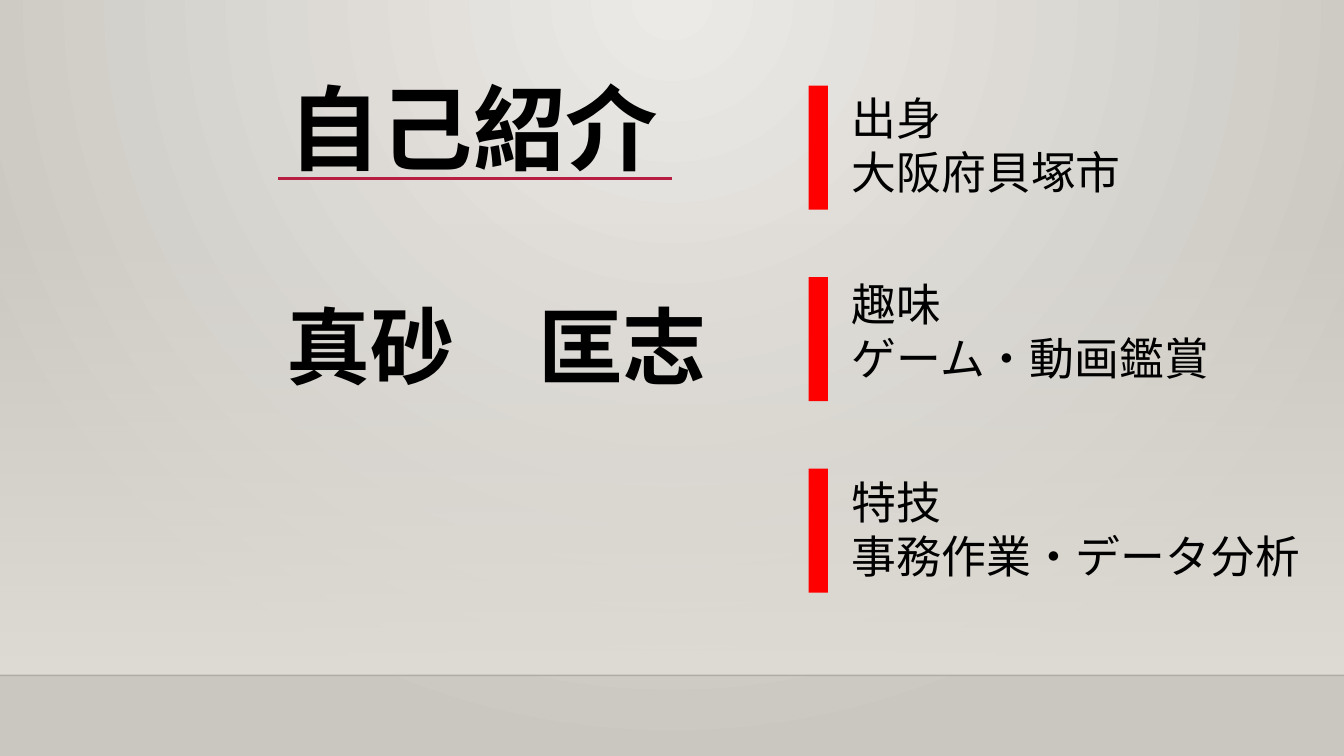
from dataclasses import dataclass

from lxml import etree
from pptx import Presentation
from pptx.dml.color import RGBColor
from pptx.enum.shapes import MSO_CONNECTOR, MSO_SHAPE
from pptx.enum.text import MSO_ANCHOR, MSO_AUTO_SIZE, PP_ALIGN
from pptx.oxml.ns import qn
from pptx.util import Inches, Pt

STRAIGHT = MSO_CONNECTOR.STRAIGHT
RECTANGLE = MSO_SHAPE.RECTANGLE
TOP = MSO_ANCHOR.TOP
GROW = MSO_AUTO_SIZE.SHAPE_TO_FIT_TEXT
LEFT = PP_ALIGN.LEFT
TITLE_ONLY = 5

SLIDE_WIDTH, SLIDE_HEIGHT = 13.33, 7.5
FLOOR_TOP = 6.7


@dataclass(frozen=True)
class Theme:
    font: str = "Cabin"
    text: str = "000000"
    bar: str = "FF0000"
    underline: str = "B71E42"
    floor_line: str = "000001"
    glow: str = "ECEAE7"
    edge: str = "CAC7C1"
    wall: str = "DFDBD5"
    title_size: int = 66
    name_size: int = 60
    body_size: int = 32


def set_alpha(color_parent, percent):
    """Give the colour inside an element an opacity."""
    color = next(color_parent.iter(qn("a:srgbClr")))
    etree.SubElement(color, qn("a:alpha")).set("val", str(percent * 1000))


class ProfileSlide:
    def __init__(self, deck, theme):
        self.theme = theme
        self.slide = deck.slides.add_slide(deck.slide_layouts[TITLE_ONLY])
        self.shapes = self.slide.shapes

    def gradient(self, fill, start, end):
        fill.gradient()
        for stop, color in zip(fill.gradient_stops, (start, end)):
            stop.color.rgb = RGBColor.from_string(color)

    def background(self):
        self.gradient(self.slide.background.fill, self.theme.glow, self.theme.edge)
        grad = next(self.slide.element.iter(qn("a:gradFill")))
        grad.remove(grad.find(qn("a:lin")))
        circle = etree.SubElement(grad, qn("a:path"))
        circle.set("path", "circle")
        focus = etree.SubElement(circle, qn("a:fillToRect"))
        for side, percent in zip("ltrb", (43, 0, 43, 100)):
            focus.set(side, str(percent * 1000))

    def rectangle(self, left, top, width, height):
        box = self.shapes.add_shape(
            RECTANGLE, Inches(left), Inches(top), Inches(width), Inches(height))
        box.shadow.inherit = False
        box.line.fill.background()
        return box

    def wall(self, top):
        wall = self.rectangle(0, top, SLIDE_WIDTH, FLOOR_TOP - top)
        self.gradient(wall.fill, self.theme.wall, self.theme.wall)
        wall.fill.gradient_angle = 270
        set_alpha(next(wall.element.iter(qn("a:gs"))), 0)

    def bar(self, left, top):
        bar = self.rectangle(left, top, 0.19, 1.23)
        bar.fill.solid()
        bar.fill.fore_color.rgb = RGBColor.from_string(self.theme.bar)

    def rule(self, left, right, y, color, width, opacity=100):
        rule = self.shapes.add_connector(
            STRAIGHT, Inches(left), Inches(y), Inches(right), Inches(y))
        rule.line.color.rgb = RGBColor.from_string(color)
        rule.line.width = Pt(width)
        if opacity < 100:
            set_alpha(rule.element.spPr, opacity)
        etree.SubElement(rule.element.spPr, qn("a:effectLst"))

    def fill_text(self, frame, lines, size, bold, wrap):
        frame.text = "\n".join(lines)
        frame.word_wrap = wrap
        frame.auto_size = GROW
        frame.vertical_anchor = TOP
        for paragraph in frame.paragraphs:
            paragraph.alignment = LEFT
            for run in paragraph.runs:
                run.font.name = self.theme.font
                run.font.size = Pt(size)
                run.font.bold = bold
                run.font.color.rgb = RGBColor.from_string(self.theme.text)

    def title(self, text, left, top, width, height):
        title = self.shapes.title
        title.left, title.top = Inches(left), Inches(top)
        title.width, title.height = Inches(width), Inches(height)
        self.fill_text(title.text_frame, [text], self.theme.title_size, True, False)

    def text(self, lines, left, top, width, height, size, bold=False, wrap=True):
        box = self.shapes.add_textbox(
            Inches(left), Inches(top), Inches(width), Inches(height))
        self.fill_text(box.text_frame, lines, size, bold, wrap)


def main():
    deck = Presentation()
    deck.slide_width, deck.slide_height = Inches(SLIDE_WIDTH), Inches(SLIDE_HEIGHT)
    theme = Theme()
    profile = ProfileSlide(deck, theme)

    # Backdrop: wall and floor
    profile.background()
    profile.wall(2.21)
    profile.rule(0, SLIDE_WIDTH, FLOOR_TOP, theme.floor_line, 1, opacity=20)

    # Title and name
    profile.title("自己紹介", 2.76, 0.66, 3.9, 1.21)
    profile.rule(2.76, 6.67, 1.77, theme.underline, 2.25)
    profile.text(["真砂　匡志"], 2.74, 2.87, 4.41, 1.11,
                 theme.name_size, bold=True, wrap=False)

    # Facts, each beside a red bar
    facts = [
        ("出身", "大阪府貝塚市", 0.85, 3.96),
        ("趣味", "ゲーム・動画鑑賞", 2.7, 3.96),
        ("特技", "事務作業・データ分析", 4.66, 4.8),
    ]
    for row, (heading, detail, top, width) in enumerate(facts):
        profile.bar(8.02, 0.85 + row * 1.9)
        profile.text([heading, detail], 8.35, top, width, 1.18, theme.body_size)

    deck.save("out.pptx")


if __name__ == "__main__":
    main()
